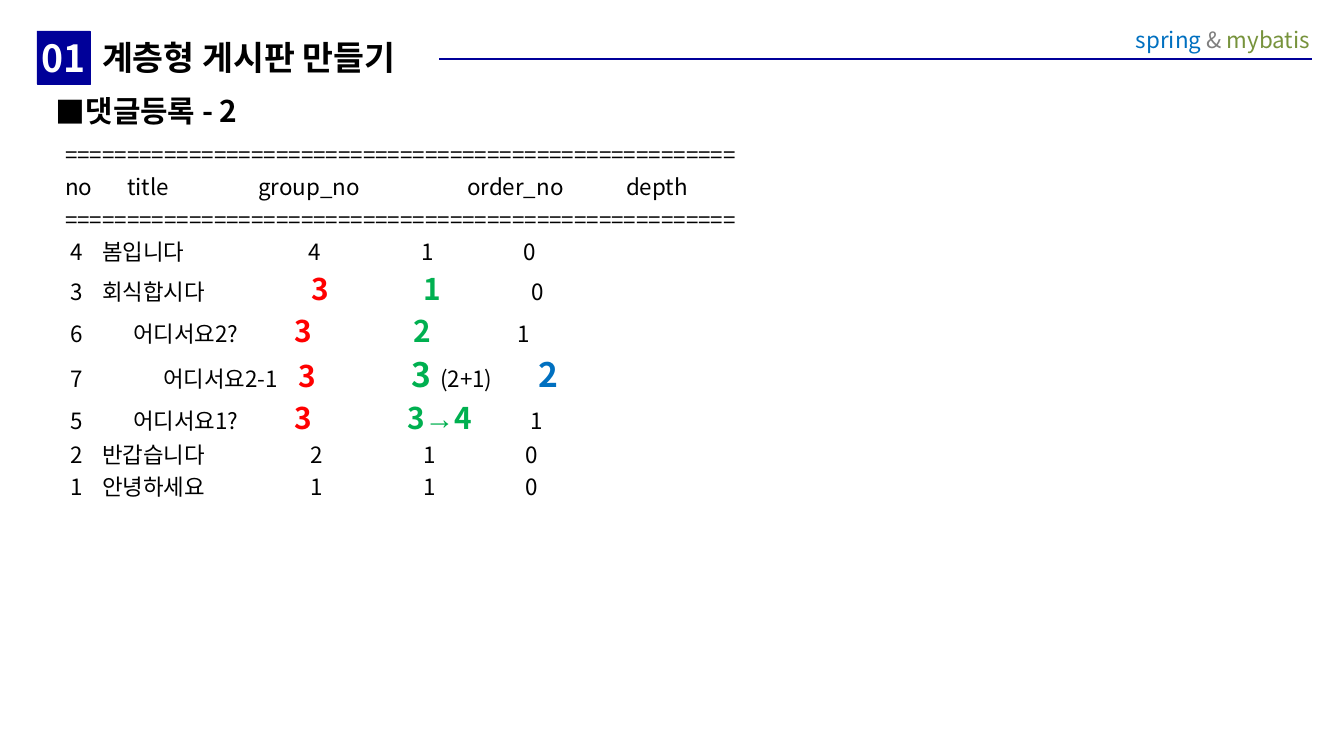
from dataclasses import dataclass

from lxml.etree import SubElement
from pptx import Presentation
from pptx.dml.color import RGBColor
from pptx.enum.shapes import MSO_CONNECTOR, MSO_SHAPE
from pptx.enum.text import MSO_ANCHOR, PP_ALIGN
from pptx.oxml.ns import qn
from pptx.util import Emu, Pt

STRAIGHT = MSO_CONNECTOR.STRAIGHT
RECTANGLE = MSO_SHAPE.RECTANGLE
TOP, MIDDLE = MSO_ANCHOR.TOP, MSO_ANCHOR.MIDDLE
LEFT, CENTER, RIGHT = PP_ALIGN.LEFT, PP_ALIGN.CENTER, PP_ALIGN.RIGHT

EMU_PER_PX = 914400 / 134.4
FONT = "Noto Sans CJK KR"
COLORS = {
    "navy": "000099", "white": "FFFFFF", "black": "000000", "gray": "7F7F7F",
    "blue": "0070C0", "olive": "77933C", "red": "FF0000", "green": "00B050",
}


@dataclass(frozen=True)
class Piece:
    text: str
    size: int = 12
    color: str = "black"
    bold: bool = False
    font: str = FONT


@dataclass(frozen=True)
class Row:
    pieces: tuple[Piece, ...]
    stops: tuple[int, ...] = ()


@dataclass(frozen=True)
class Box:
    left: int
    top: int
    width: int
    height: int
    insets: tuple[int, int, int, int] = (13, 7, 13, 7)
    anchor: MSO_ANCHOR = TOP


def px(length: int) -> Emu:
    return Emu(round(length * EMU_PER_PX))


def rgb(name: str) -> RGBColor:
    return RGBColor.from_string(COLORS[name])


def post(number: int, title: str, group: Piece, order: tuple[Piece, ...],
         depth: Piece, stops: tuple[int, ...]) -> Row:
    return Row((Piece(f"\t{number}\t{title}"), group, *order, depth), (5, *stops))


def group_three(size: int = 16) -> Piece:
    return Piece("\t3", size, "red", True)


def order_value(text: str, size: int = 16, font: str = FONT) -> Piece:
    return Piece(text, size, "green", True, font)


def write(paragraph, row: Row, align: PP_ALIGN = LEFT, before: int = 0) -> None:
    paragraph.alignment = align
    paragraph.space_before = Pt(before)
    for piece in row.pieces:
        run = paragraph.add_run()
        run.text = piece.text
        run.font.size = Pt(piece.size)
        run.font.bold = piece.bold
        run.font.color.rgb = rgb(piece.color)
        run.font.name = piece.font
        SubElement(run.font._element, qn("a:ea"), typeface=piece.font)
    if row.stops:
        tabs = SubElement(paragraph._p.get_or_add_pPr(), qn("a:tabLst"))
        for stop in row.stops:
            SubElement(tabs, qn("a:tab"), pos=str(px(stop)), algn="l")


def set_frame(frame, box: Box) -> None:
    frame.word_wrap = True
    frame.vertical_anchor = box.anchor
    (frame.margin_left, frame.margin_top,
     frame.margin_right, frame.margin_bottom) = map(px, box.insets)


def add_text(slide, box: Box, rows: tuple[Row, ...],
             align: PP_ALIGN = LEFT, before: int = 0):
    area = slide.shapes.add_textbox(*map(px, (box.left, box.top, box.width, box.height)))
    frame = area.text_frame
    set_frame(frame, box)
    for index, row in enumerate(rows):
        paragraph = frame.add_paragraph() if index else frame.paragraphs[0]
        write(paragraph, row, align, before)
    return frame


def add_block(slide, box: Box, label: Piece, fill: str, align: PP_ALIGN,
              outlined: bool = False) -> None:
    block = slide.shapes.add_shape(
        RECTANGLE, *map(px, (box.left, box.top, box.width, box.height)))
    block.shadow.inherit = False
    block.fill.solid()
    block.fill.fore_color.rgb = rgb(fill)
    if outlined:
        block.line.color.rgb = rgb(fill)
        block.line.width = Pt(0.25)
    else:
        block.line.fill.background()
    set_frame(block.text_frame, box)
    write(block.text_frame.paragraphs[0], Row((label,)), align)


def add_rule(slide, start: int, end: int, y: int) -> None:
    rule = slide.shapes.add_connector(STRAIGHT, px(start), px(y), px(end), px(y))
    rule.line.color.rgb = rgb("navy")
    rule.line.width = Pt(1.5)
    SubElement(rule._element.spPr, qn("a:effectLst"))


def add_square_bullet(paragraph, indent: int) -> None:
    properties = paragraph._p.get_or_add_pPr()
    properties.set("marL", str(px(indent)))
    properties.set("indent", str(-px(indent)))
    color = SubElement(properties, qn("a:buClr"))
    SubElement(color, qn("a:srgbClr"), val=COLORS["black"])
    SubElement(properties, qn("a:buFont"), typeface=FONT)
    SubElement(properties, qn("a:buChar"), char="■")


DIVIDER = Row((Piece("=" * 54),))
FIRST, ZERO, ONE = (Piece("\t1"),), Piece("\t0"), Piece("\t1")
BOARD = (
    DIVIDER,
    Row((Piece("no\ttitle\tgroup_no\torder_no\tdepth"),), (62, 193, 402, 561)),
    DIVIDER,
    post(4, "봄입니다", Piece("\t4"), FIRST, ZERO, (37, 243, 356, 458)),
    post(3, "회식합시다", group_three(), (order_value("\t1"),), ZERO,
         (37, 246, 358, 466)),
    post(6, "어디서요2?", group_three(), (order_value("\t2"),), ONE,
         (68, 229, 348, 452)),
    post(7, "어디서요2-1", group_three(),
         (order_value("\t3", 18), Piece("\t(2+1)")),
         Piece("\t2", 18, "blue", True), (98, 233, 346, 375, 473)),
    post(5, "어디서요1?", group_three(),
         (order_value("\t3"), order_value("→", font="Arial"), order_value("4")),
         ONE, (68, 229, 342, 465)),
    post(2, "반갑습니다", Piece("\t2"), FIRST, ZERO, (37, 245, 358, 460)),
    post(1, "안녕하세요", Piece("\t1"), FIRST, ZERO, (37, 245, 358, 460)),
)
COURSE = Row((Piece("spring ", color="blue"), Piece("& ", color="gray"),
              Piece("mybatis", color="olive")))


def main() -> None:
    deck = Presentation()
    deck.slide_width, deck.slide_height = px(1344), px(756)
    slide = deck.slides.add_slide(deck.slide_layouts[6])

    add_rule(slide, 1312, 95, 59)
    add_text(slide, Box(1117, 15, 206, 75, (13, 11, 13, 11)), (COURSE,), RIGHT)
    add_block(slide, Box(91, 31, 348, 52, (11, 5, 0, 5), MIDDLE),
              Piece("계층형 게시판 만들기", 18, bold=True), "white", LEFT)
    add_block(slide, Box(37, 31, 53, 53, (0, 0, 0, 0), MIDDLE),
              Piece("01", 20, "white", True), "navy", CENTER, outlined=True)
    add_text(slide, Box(52, 134, 1238, 374), BOARD, before=3)
    section = add_text(slide, Box(43, 86, 1159, 59),
                       (Row((Piece("댓글등록 - 2", 16, bold=True),)),), before=4)
    add_square_bullet(section.paragraphs[0], 27)
    deck.save("out.pptx")


if __name__ == "__main__":
    main()
